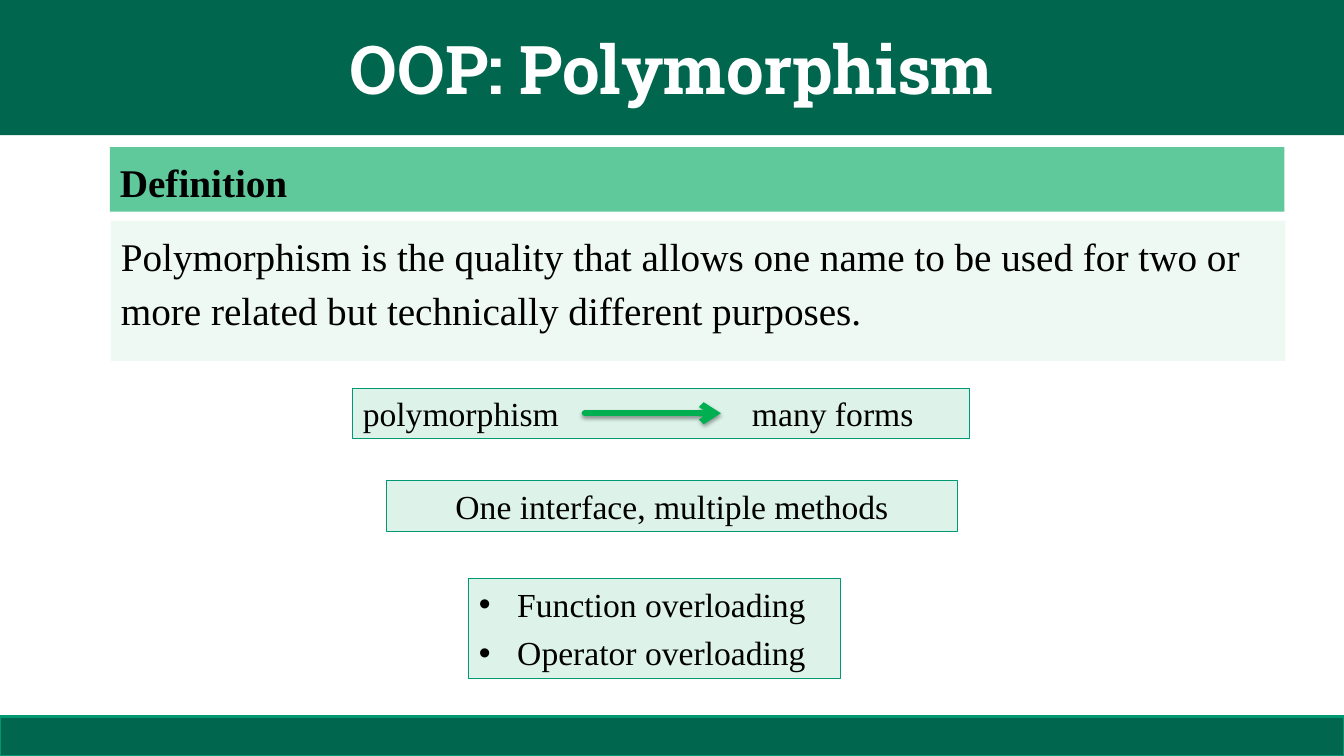
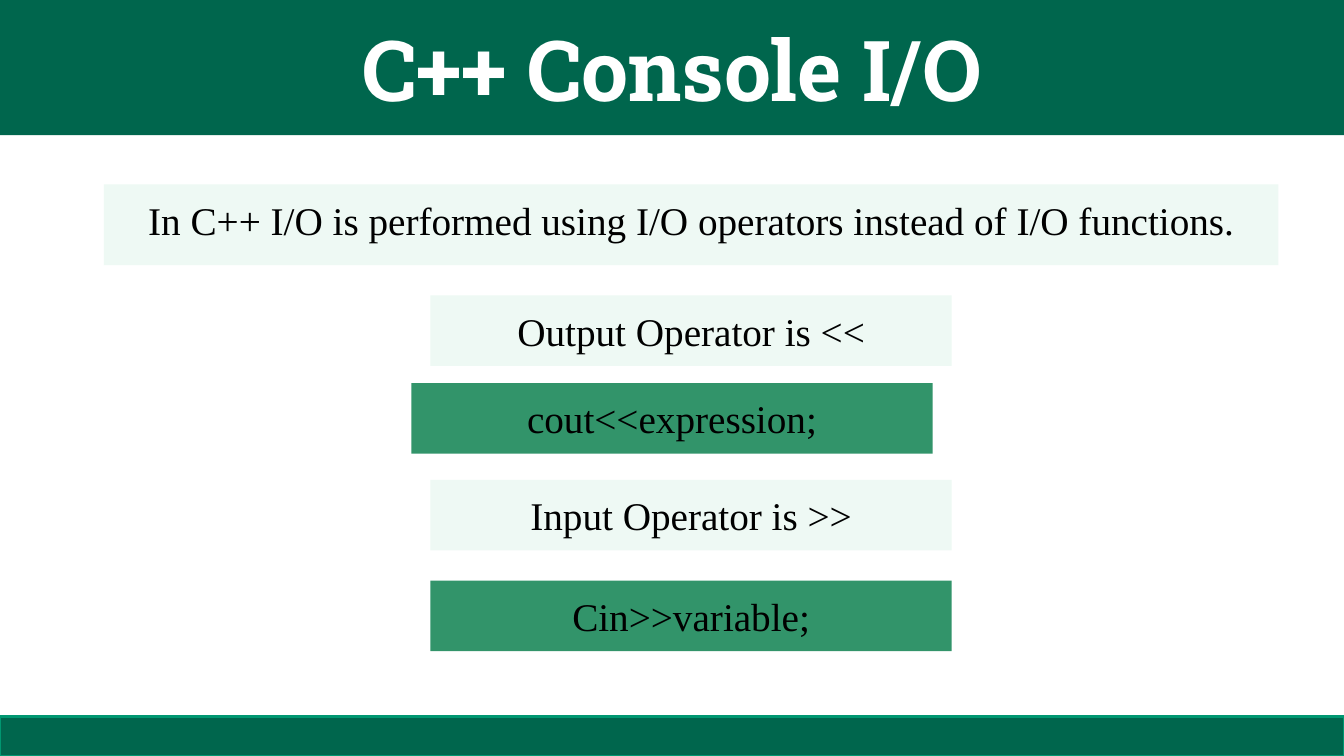
"""Build two C++ lecture slides: polymorphism and console I/O."""
from lxml.etree import SubElement
from pptx import Presentation
from pptx.dml.color import RGBColor
from pptx.enum.shapes import MSO_CONNECTOR, MSO_SHAPE
from pptx.enum.text import MSO_ANCHOR, MSO_AUTO_SIZE, PP_ALIGN
from pptx.oxml.ns import qn
from pptx.util import Inches, Pt

COLORS = {
    "band": "00664D", "footer_edge": "009771", "heading": "60C99C",
    "pale": "EEF9F4", "mint": "DDF3EA", "mint_edge": "009973",
    "code": "32946A", "arrow": "00B050", "text": "000000", "title": "FFFFFF",
}
TITLE_FONT, BODY_FONT = "Roboto Slab", "Times New Roman"
WIDTH, HEIGHT = 13.33, 7.5
TITLE_HEIGHT, FOOTER_HEIGHT = 1.34, 0.39
PANEL_WIDTH = 11.65
OPERATOR_WIDTH, OPERATOR_HEIGHT = 5.17, 0.7
TITLE_ONLY, TITLE_AND_BODY = 5, 1

POLYMORPHISM = {
    "title": ("OOP: Polymorphism", 48),
    "heading": "Definition",
    "definition": "Polymorphism is the quality that allows one name to be used "
                  "for two or more related but technically different purposes.",
    "meaning": "polymorphism\tmany forms",
    "principle": "One interface, multiple methods",
    "kinds": ["Function overloading", "Operator overloading"],
}
CONSOLE = {
    "title": ("C++ Console I/O", 60),
    "intro": "In C++ I/O is performed using I/O operators instead of I/O functions.",
    "operators": [
        ("Output Operator is <<", "pale", 4.27, 2.93),
        ("cout<<expression;", "code", 4.08, 3.8),
        ("Input Operator is >>", "pale", 4.27, 4.76),
        ("Cin>>variable;", "code", 4.27, 5.76),
    ],
}


def rgb(name):
    return RGBColor.from_string(COLORS[name])


def place(shape, left, top, width, height):
    shape.left, shape.top = Inches(left), Inches(top)
    shape.width, shape.height = Inches(width), Inches(height)


def paint(shape, fill, edge=None, edge_width=0.75):
    shape.fill.solid()
    shape.fill.fore_color.rgb = rgb(fill)
    if edge:
        shape.line.color.rgb = rgb(edge)
        shape.line.width = Pt(edge_width)
    else:
        shape.line.fill.background()


def set_font(paragraph, size, face=BODY_FONT, color="text", bold=False):
    font = paragraph.font
    font.name, font.size, font.bold = face, Pt(size), bold
    font.color.rgb = rgb(color)


def add_base(deck, layout, title, size):
    """Add a slide with the shared title band and footer."""
    slide = deck.slides.add_slide(deck.slide_layouts[layout])
    band = slide.shapes.title
    place(band, 0, 0, WIDTH, TITLE_HEIGHT)
    paint(band, "band")
    frame = band.text_frame
    frame.text = title
    frame.auto_size = MSO_AUTO_SIZE.NONE
    frame.vertical_anchor = MSO_ANCHOR.MIDDLE
    frame.paragraphs[0].alignment = PP_ALIGN.CENTER
    set_font(frame.paragraphs[0], size, TITLE_FONT, "title", True)
    footer = slide.shapes.add_shape(
        MSO_SHAPE.RECTANGLE, 0, Inches(HEIGHT - FOOTER_HEIGHT),
        Inches(WIDTH), Inches(FOOTER_HEIGHT))
    footer.shadow.inherit = False
    paint(footer, "band", "footer_edge", 2)
    return slide


def add_box(slide, text, area, fill, edge=None, size=28, spacing=1.14,
            align=PP_ALIGN.CENTER, bold=False, tab=None):
    box = slide.shapes.add_textbox(*map(Inches, area))
    paint(box, fill, edge)
    box.text_frame.word_wrap = True
    paragraph = box.text_frame.paragraphs[0]
    paragraph.text = text
    paragraph.alignment = align
    paragraph.line_spacing = spacing
    if tab:
        stops = SubElement(paragraph._p.get_or_add_pPr(), qn("a:tabLst"))
        SubElement(stops, qn("a:tab"), pos=str(Inches(tab)), algn="l")
    set_font(paragraph, size, bold=bold)


def fill_list(body, items, area):
    place(body, *area)
    paint(body, "mint", "mint_edge")
    frame = body.text_frame
    frame.text = "\n".join(items)
    frame.auto_size = MSO_AUTO_SIZE.NONE
    frame.vertical_anchor = MSO_ANCHOR.TOP
    for paragraph in frame.paragraphs:
        paragraph.space_before, paragraph.space_after = Pt(0), Pt(6)
        properties = paragraph._p.get_or_add_pPr()
        properties.set("marL", str(Inches(0.38)))
        properties.set("indent", str(Inches(-0.38)))
        SubElement(properties, qn("a:buFont"), typeface="Arial")
        SubElement(properties, qn("a:buChar"), char="•")
        set_font(paragraph, 24)


def add_arrow(slide, start, end, level):
    arrow = slide.shapes.add_connector(
        MSO_CONNECTOR.STRAIGHT, Inches(start), Inches(level),
        Inches(end), Inches(level))
    arrow.line.color.rgb = rgb("arrow")
    arrow.line.width = Pt(4.5)
    outline = arrow.line._get_or_add_ln()
    outline.set("cap", "rnd")
    SubElement(outline, qn("a:tailEnd"), type="arrow")
    effects = SubElement(arrow._element.spPr, qn("a:effectLst"))
    shadow = SubElement(effects, qn("a:outerShdw"), blurRad=str(Pt(3.1)),
                        dist=str(Pt(1.6)), dir="5400000", rotWithShape="0")
    shade = SubElement(shadow, qn("a:srgbClr"), val=COLORS["text"])
    SubElement(shade, qn("a:alpha"), val="38000")


def build_polymorphism(deck):
    slide = add_base(deck, TITLE_AND_BODY, *POLYMORPHISM["title"])
    add_box(slide, POLYMORPHISM["heading"], (1.09, 1.46, PANEL_WIDTH, 0.64),
            "heading", align=PP_ALIGN.LEFT, bold=True)
    add_box(slide, POLYMORPHISM["definition"], (1.1, 2.19, PANEL_WIDTH, 1.39),
            "pale", align=PP_ALIGN.LEFT)
    add_box(slide, POLYMORPHISM["meaning"], (3.5, 3.85, 6.12, 0.5), "mint",
            "mint_edge", 24, 1.0, PP_ALIGN.LEFT, tab=3.86)
    add_arrow(slide, 5.8, 7.15, 4.1)
    add_box(slide, POLYMORPHISM["principle"], (3.83, 4.77, 5.67, 0.5), "mint",
            "mint_edge", 24, 1.0)
    fill_list(slide.placeholders[1], POLYMORPHISM["kinds"],
              (4.65, 5.74, 3.69, 0.99))


def build_console(deck):
    slide = add_base(deck, TITLE_ONLY, *CONSOLE["title"])
    add_box(slide, CONSOLE["intro"], (1.03, 1.83, PANEL_WIDTH, 0.8), "pale")
    for text, fill, left, top in CONSOLE["operators"]:
        add_box(slide, text, (left, top, OPERATOR_WIDTH, OPERATOR_HEIGHT), fill)


def main():
    deck = Presentation()
    deck.slide_width, deck.slide_height = Inches(WIDTH), Inches(HEIGHT)
    build_polymorphism(deck)
    build_console(deck)
    deck.save("out.pptx")


if __name__ == "__main__":
    main()
